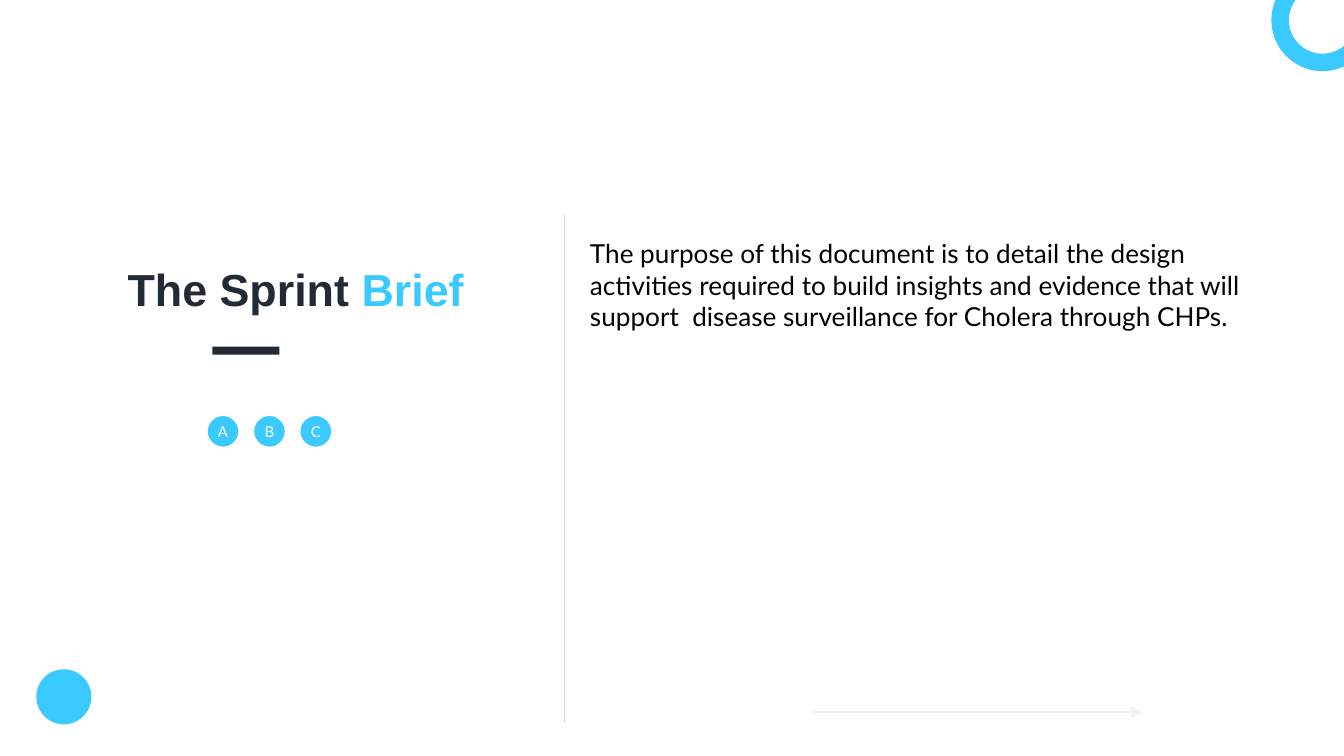
from math import acos, asin, cos, pi, sin

from lxml import etree
from pptx import Presentation
from pptx.dml.color import RGBColor
from pptx.enum.shapes import MSO_CONNECTOR as Connector, MSO_SHAPE as Shape
from pptx.enum.text import MSO_ANCHOR as Anchor, PP_ALIGN as Align
from pptx.oxml.ns import qn
from pptx.util import Inches, Pt

COLORS = {
    "accent": "3ACAFF",
    "dark": "212A35",
    "black": "000000",
    "white": "FFFFFF",
    "divider": "D9D9D9",
    "arrow": "F1F1F1",
}
SLIDE_WIDTH = 10
SLIDE_HEIGHT = SLIDE_WIDTH * 9 / 16


def color(name):
    return RGBColor.from_string(COLORS[name])


def corner_arc(center_x, center_y, radius, steps=32):
    """Points of a circle from the slide's top edge, round below, to its right edge."""
    start = pi + asin(center_y / radius)
    end = acos((SLIDE_WIDTH - center_x) / radius)
    angles = [start + (end - start) * step / steps for step in range(steps + 1)]
    return [(center_x + radius * cos(a), center_y + radius * sin(a)) for a in angles]


class SlideBuilder:
    def __init__(self, slide):
        self.slide = slide

    def paint(self, shape, fill, line=None, line_width=0):
        shape.shadow.inherit = False
        shape.fill.solid()
        shape.fill.fore_color.rgb = color(fill)
        if line:
            shape.line.color.rgb = color(line)
            shape.line.width = Pt(line_width)
        else:
            shape.line.fill.background()

    def text(self, left, top, width, height, runs, font, size, bold=False):
        """Add one paragraph made of (text, colour name) runs."""
        box = self.slide.shapes.add_textbox(
            Inches(left), Inches(top), Inches(width), Inches(height))
        frame = box.text_frame
        frame.word_wrap = True
        frame.margin_left = frame.margin_top = Inches(0.01)
        frame.margin_right = frame.margin_bottom = 0
        paragraph = frame.paragraphs[0]
        paragraph.font.name = font
        paragraph.font.size = Pt(size)
        paragraph.font.bold = bold
        for words, color_name in runs:
            run = paragraph.add_run()
            run.text = words
            run.font.color.rgb = color(color_name)

    def shape(self, kind, left, top, width, height, fill, **line):
        shape = self.slide.shapes.add_shape(
            kind, Inches(left), Inches(top), Inches(width), Inches(height))
        self.paint(shape, fill, **line)
        return shape

    def badge(self, left, top, size, letter):
        badge = self.shape(Shape.OVAL, left, top, size, size, "accent",
                           line="white", line_width=2.25)
        frame = badge.text_frame
        frame.word_wrap = False
        frame.margin_left = frame.margin_right = 0
        frame.margin_top = frame.margin_bottom = 0
        frame.vertical_anchor = Anchor.MIDDLE
        paragraph = frame.paragraphs[0]
        paragraph.text = letter
        paragraph.alignment = Align.CENTER
        paragraph.font.name = "Lato"
        paragraph.font.size = Pt(8)
        paragraph.font.color.rgb = color("white")

    def line(self, x1, y1, x2, y2, color_name, width, arrow=False):
        connector = self.slide.shapes.add_connector(
            Connector.STRAIGHT, Inches(x1), Inches(y1), Inches(x2), Inches(y2))
        connector.line.color.rgb = color(color_name)
        connector.line.width = Pt(width)
        if arrow:
            etree.SubElement(connector.line._get_or_add_ln(), qn("a:tailEnd"),
                             type="triangle", w="med", len="med")
        etree.SubElement(connector._element.spPr, qn("a:effectLst"))

    def corner_ring(self, center_x, center_y, outer, inner, fill):
        """Add a ring cut off by the slide's top right corner."""
        points = (corner_arc(center_x, center_y, outer)
                  + corner_arc(center_x, center_y, inner)[::-1])
        points = [(Inches(x), Inches(y)) for x, y in points]
        builder = self.slide.shapes.build_freeform(*points[0])
        builder.add_line_segments(points[1:], close=True)
        self.paint(builder.convert_to_shape(), fill)


def main():
    presentation = Presentation()
    presentation.slide_width = Inches(SLIDE_WIDTH)
    presentation.slide_height = Inches(SLIDE_HEIGHT)
    builder = SlideBuilder(presentation.slides.add_slide(presentation.slide_layouts[6]))

    builder.text(0.94, 1.94, 2.56, 0.41,
                 [("The Sprint ", "dark"), ("Brief", "accent")],
                 "Arial", 24, bold=True)
    builder.shape(Shape.RECTANGLE, 1.58, 2.58, 0.5, 0.06, "dark")
    builder.line(4.2, 1.59, 4.2, 5.38, "divider", 0.75)

    for index, letter in enumerate("ABC"):
        builder.badge(1.53 + 0.345 * index, 3.08, 0.26, letter)

    purpose = ("The purpose of this document is to detail the design  activities "
               "required to build insights and evidence that will support  disease "
               "surveillance for Cholera through CHPs.")
    builder.text(4.38, 1.76, 5.26, 0.69, [(purpose, "black")], "Lato", 14)

    builder.line(6.05, 5.3, 8.5, 5.3, "arrow", 1, arrow=True)
    builder.shape(Shape.OVAL, 0.27, 4.98, 0.41, 0.41, "accent")
    builder.corner_ring(9.84, 0.15, 0.38, 0.25, "accent")

    presentation.save("out.pptx")


if __name__ == "__main__":
    main()
